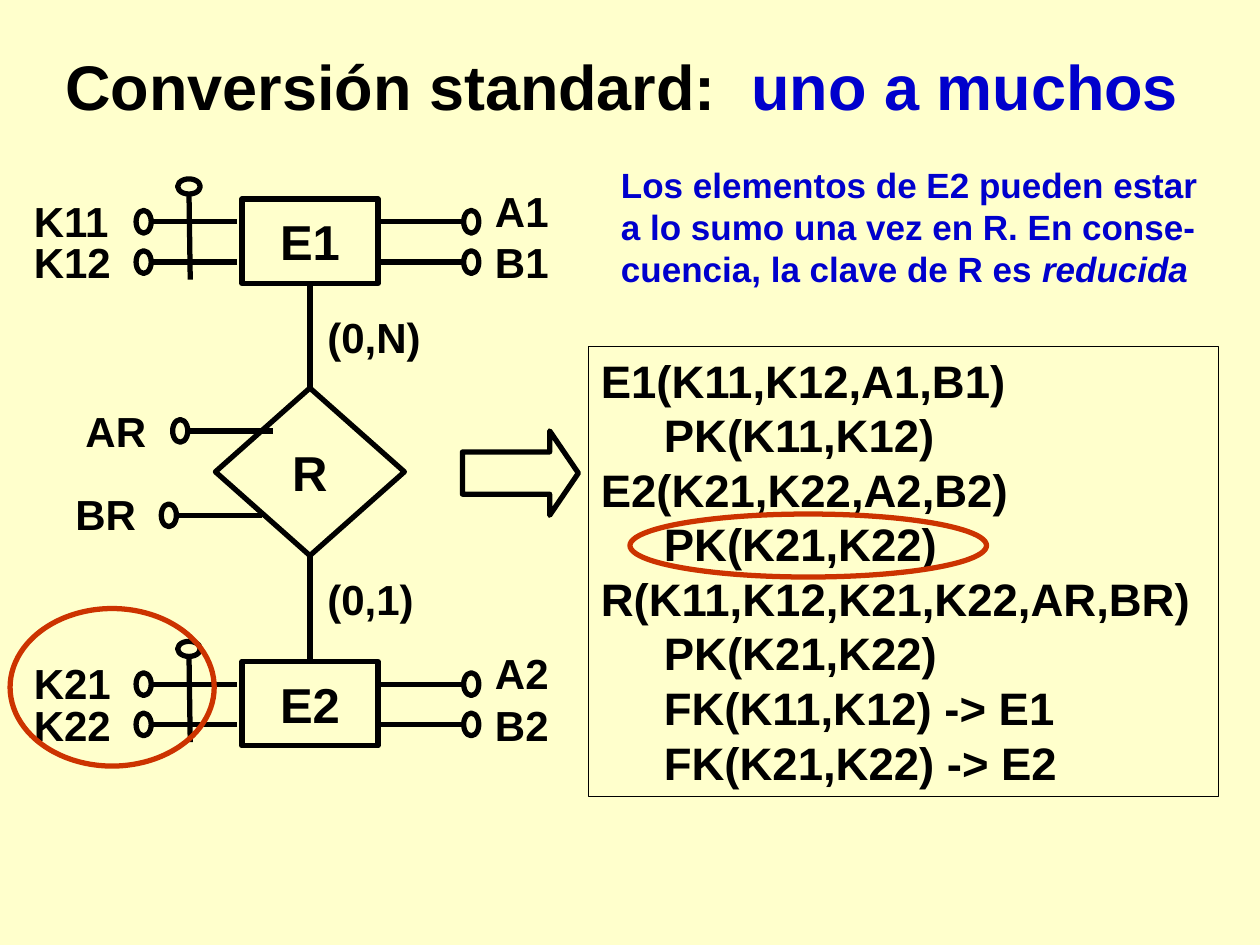
from dataclasses import dataclass

import pptx
import pptx.dml.color
import pptx.enum.shapes
import pptx.enum.text
import pptx.oxml
import pptx.util
from pptx.util import Inches

SHAPE = pptx.enum.shapes.MSO_SHAPE
ALIGN = pptx.enum.text.PP_ALIGN
ANCHOR = pptx.enum.text.MSO_ANCHOR
BLACK, BLUE, RED = "000000", "0000CC", "CC3300"
KNOB_SHORT, KNOB_LONG, STEM = 0.12, 0.18, 0.68


@dataclass
class Entity:
    name: str
    top: float
    keys: tuple[str, str]
    attributes: tuple[str, str]


@dataclass
class RelationAttribute:
    name: str
    label_left: float
    label_top: float
    knob_left: float
    y: float


def rgb(color: str):
    return pptx.dml.color.RGBColor.from_string(color)


def style_text(p, size: float, color: str = BLACK):
    f = p.font
    f.name, f.size, f.bold = "Arial", pptx.util.Pt(size), True
    f.color.rgb = rgb(color)


def add_text(s, left: float, top: float, width: float, height: float,
             text: str, size: float = 24, color: str = BLACK):
    tf = s.shapes.add_textbox(Inches(left), Inches(top),
                              Inches(width), Inches(height)).text_frame
    tf.word_wrap = True
    p = tf.paragraphs[0]
    p.text = text
    style_text(p, size, color)
    return p


def add_outline(s, kind, left: float, top: float, width: float, height: float,
                color: str = BLACK, weight: float = 3):
    sp = s.shapes.add_shape(kind, Inches(left), Inches(top),
                            Inches(width), Inches(height))
    sp.shadow.inherit = False
    sp.fill.background()
    sp.line.color.rgb = rgb(color)
    sp.line.width = pptx.util.Pt(weight)
    return sp


def add_node(s, kind, left: float, top: float, width: float, height: float,
             text: str):
    sp = add_outline(s, kind, left, top, width, height)
    tf = sp.text_frame
    tf.word_wrap = False
    tf.vertical_anchor = ANCHOR.MIDDLE
    p = tf.paragraphs[0]
    p.text = text
    p.alignment = ALIGN.CENTER
    style_text(p, 28)
    return sp


def add_line(s, x1: float, y1: float, x2: float, y2: float):
    line = s.shapes.add_connector(
        pptx.enum.shapes.MSO_CONNECTOR.STRAIGHT,
        Inches(x1), Inches(y1), Inches(x2), Inches(y2))
    line.line.color.rgb = rgb(BLACK)
    line.line.width = pptx.util.Pt(3)
    effects = pptx.oxml.parse_xml(
        '<a:effectLst xmlns:a='
        '"http://schemas.openxmlformats.org/drawingml/2006/main"/>')
    line._element.spPr.append(effects)
    return line


def add_attribute(s, knob_left: float, y: float, stem_right: bool = True):
    """A knob with a horizontal stem on its right or left side."""
    start = knob_left + KNOB_SHORT if stem_right else knob_left
    end = start + STEM if stem_right else start - STEM
    add_line(s, start, y, end, y)
    add_outline(s, SHAPE.OVAL, knob_left, y - KNOB_LONG / 2,
                KNOB_SHORT, KNOB_LONG)


def add_entity(s, e: Entity):
    box = add_node(s, SHAPE.RECTANGLE, 1.92, e.top, 1.08, 0.67, e.name)
    for i in range(2):
        y = e.top + 0.18 + 0.32 * i
        add_attribute(s, 1.08, y)
        add_attribute(s, 3.68, y, stem_right=False)
        add_text(s, 0.17, e.top - 0.08 + 0.33 * i, 0.83, 0.5, e.keys[i])
        add_text(s, 3.83, e.top - 0.16 + 0.41 * i, 0.83, 0.5, e.attributes[i])
    # Vertical bar that joins the two key attributes
    bar_top = e.top - 0.04
    add_line(s, 1.5, bar_top, 1.51, bar_top + STEM)
    add_outline(s, SHAPE.OVAL, 1.5 - KNOB_LONG / 2, bar_top - KNOB_SHORT,
                KNOB_LONG, KNOB_SHORT)
    return box


def join(s, first, first_site: int, second, second_site: int):
    line = add_line(s, 0, 0, 1, 1)
    line.begin_connect(first, first_site)
    line.end_connect(second, second_site)


ENTITIES = [
    Entity("E1", 1.58, ("K11", "K12"), ("A1", "B1")),
    Entity("E2", 5.25, ("K21", "K22"), ("A2", "B2")),
]
RELATION_ATTRIBUTES = [
    RelationAttribute("AR", 0.58, 3.17, 1.37, 3.42),
    RelationAttribute("BR", 0.5, 3.83, 1.28, 4.09),
]
SCHEMA = [
    "E1(K11,K12,A1,B1)",
    "     PK(K11,K12)",
    "E2(K21,K22,A2,B2)",
    "     PK(K21,K22)",
    "R(K11,K12,K21,K22,AR,BR)",
    "     PK(K21,K22)",
    "     FK(K11,K12) -> E1",
    "     FK(K21,K22) -> E2",
]


def main():
    prs = pptx.Presentation()
    prs.slide_width, prs.slide_height = Inches(10), Inches(7.5)
    s = prs.slides.add_slide(prs.slide_layouts[6])
    s.background.fill.solid()
    s.background.fill.fore_color.rgb = rgb("FFFFCC")

    # Title
    p = add_text(s, 0.42, 0.33, 9.08, 0.7, "Conversión standard:  ", 36)
    r = p.add_run()
    r.text = "uno a muchos"
    r.font.color.rgb = rgb(BLUE)

    # Entity-relationship diagram
    e1, e2 = [add_entity(s, e) for e in ENTITIES]
    relation = add_node(s, SHAPE.DIAMOND, 1.71, 3.08, 1.5, 1.33, "R")
    relation.left = e1.left + (e1.width - relation.width) // 2
    join(s, relation, 0, e1, 2)
    join(s, e2, 0, relation, 2)
    for a in RELATION_ATTRIBUTES:
        add_attribute(s, a.knob_left, a.y)
        add_text(s, a.label_left, a.label_top, 0.83, 0.5, a.name)
    add_text(s, 2.5, 2.42, 1, 0.5, "(0,N)")
    add_text(s, 2.5, 4.5, 0.92, 0.5, "(0,1)")

    # Explanation
    p = add_text(s, 4.83, 1.25, 4.92, 1.1,
                 "Los elementos de E2 pueden estar a lo sumo una vez en R. "
                 "En conse-cuencia, la clave de R es ", 20, BLUE)
    r = p.add_run()
    r.text = "reducida"
    r.font.italic = True

    # Arrow to the resulting relational schema
    arrow = add_outline(s, SHAPE.RIGHT_ARROW, 3.67, 3.42, 0.92, 0.67)
    arrow.adjustments[0], arrow.adjustments[1] = 0.5, 0.34
    box = add_outline(s, SHAPE.RECTANGLE, 4.67, 2.75, 5, 3.57, weight=0.75)
    tf = box.text_frame
    tf.word_wrap = True
    tf.vertical_anchor = ANCHOR.TOP
    p = tf.paragraphs[0]
    p.text = "\v".join(SCHEMA)
    p.alignment = ALIGN.LEFT
    style_text(p, 26)

    # Highlights around the reduced key
    add_outline(s, SHAPE.OVAL, 5, 4.08, 2.83, 0.5, RED)
    add_outline(s, SHAPE.OVAL, 0.08, 4.83, 1.62, 1.25, RED)

    prs.save("out.pptx")


if __name__ == "__main__":
    main()
